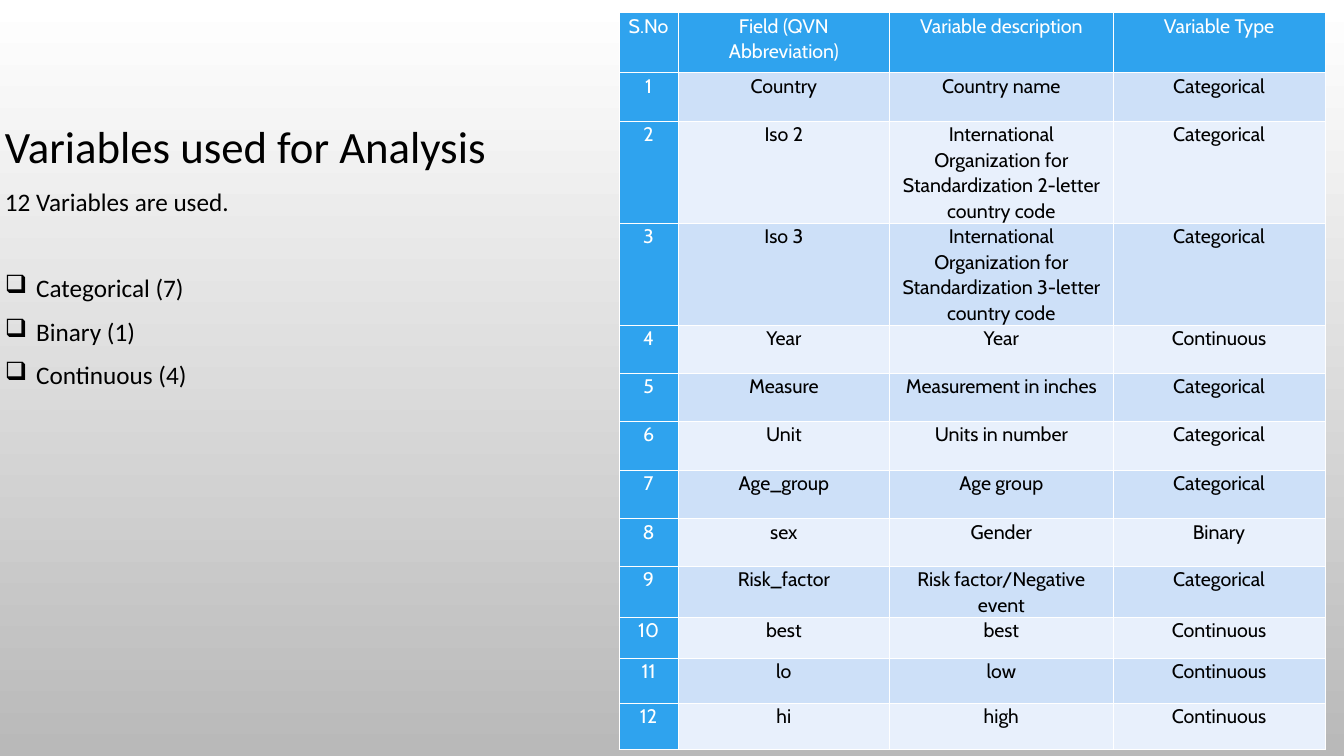
"""Build the slide listing the variables used for the analysis."""
from dataclasses import dataclass
from typing import NamedTuple

from lxml import etree
from pptx import Presentation
from pptx import util as u
from pptx.dml import color
from pptx.enum import text
from pptx.oxml import ns


@dataclass(frozen=True)
class Theme:
    black: str = "000000"
    white: str = "FFFFFF"
    grey: str = "B9B9B9"
    accent: str = "2FA3EE"
    bands: tuple[str, str] = ("CDE0F8", "E8F0FC")
    body_font: str = "Calibri"
    table_font: str = "Cabin"
    title_size: int = 64
    body_size: int = 36
    table_size: int = 28
    line_spacing: float = 1.07
    body_gap: int = 16
    table_gap: int = 8


class Variable(NamedTuple):
    field: str
    description: str
    kind: str
    height: float


class Line(NamedTuple):
    wording: str
    size: int
    bullet: str = ""
    space_before: int = 0


THEME = Theme()
CODE = "International Organization for Standardization {}-letter country code"
CATEGORICAL, BINARY, CONTINUOUS = "Categorical", "Binary", "Continuous"
HEADINGS = ("S.No", "Field (QVN Abbreviation)", "Variable description", "Variable Type")
HEADING_HEIGHT = 1.19
COLUMN_WIDTHS = (1.18, 4.19, 4.44, 4.2)
VARIABLES = (
    Variable("Country", "Country name", CATEGORICAL, 0.97),
    Variable("Iso 2", CODE.format(2), CATEGORICAL, 1.91),
    Variable("Iso 3", CODE.format(3), CATEGORICAL, 1.57),
    Variable("Year", "Year", CONTINUOUS, 0.96),
    Variable("Measure", "Measurement in inches", CATEGORICAL, 0.95),
    Variable("Unit", "Units in number", CATEGORICAL, 0.97),
    Variable("Age_group", "Age group", CATEGORICAL, 0.96),
    Variable("sex", "Gender", BINARY, 0.95),
    Variable("Risk_factor", "Risk factor/Negative event", CATEGORICAL, 0.96),
    Variable("best", "best", CONTINUOUS, 0.81),
    Variable("lo", "low", CONTINUOUS, 0.89),
    Variable("hi", "high", CONTINUOUS, 0.93),
)
SUMMARY = (
    Line("Variables used for Analysis", THEME.title_size),
    Line("12 Variables are used.", THEME.body_size),
    Line("Categorical (7)", THEME.body_size, "❑", 61),
    Line("Binary (1)", THEME.body_size, "❑"),
    Line("Continuous (4)", THEME.body_size, "❑"),
)


def rgb(value: str) -> color.RGBColor:
    """Turn a hex string into a colour."""
    return color.RGBColor.from_string(value)


def style_paragraph(paragraph, font_name: str, size: int, ink: str, gap: int) -> None:
    """Set the spacing and the font of a paragraph."""
    paragraph.line_spacing = THEME.line_spacing
    paragraph.space_after = u.Pt(gap)
    for run in paragraph.runs:
        run.font.name = font_name
        run.font.size = u.Pt(size)
        run.font.bold = False
        run.font.color.rgb = rgb(ink)


def add_bullet(paragraph, character: str) -> None:
    """Give a paragraph a hanging bullet."""
    properties = paragraph._p.get_or_add_pPr()
    indent = u.Inches(0.62)
    properties.set("marL", str(indent))
    properties.set("indent", str(-indent))
    etree.SubElement(properties, ns.qn("a:buChar"), char=character)


def add_borders(cell, bottom: int) -> None:
    """Draw white cell borders with the given bottom width in points."""
    properties = cell._tc.get_or_add_tcPr()
    widths = {"a:lnL": 1, "a:lnR": 1, "a:lnT": 1, "a:lnB": bottom}
    for position, (tag, width) in enumerate(widths.items()):
        border = etree.Element(ns.qn(tag), w=str(u.Pt(width)))
        fill = etree.SubElement(border, ns.qn("a:solidFill"))
        etree.SubElement(fill, ns.qn("a:srgbClr"), val=THEME.white)
        properties.insert(position, border)


def fill_cell(cell, wording: str, fill: str, ink: str, bottom: int) -> None:
    """Write and style one table cell."""
    cell.margin_left = cell.margin_right = u.Inches(0.14)
    cell.margin_top = cell.margin_bottom = 0
    cell.text_frame.text = wording
    paragraph = cell.text_frame.paragraphs[0]
    paragraph.alignment = text.PP_ALIGN.CENTER
    style_paragraph(paragraph, THEME.table_font, THEME.table_size, ink, THEME.table_gap)
    cell.fill.solid()
    cell.fill.fore_color.rgb = rgb(fill)
    add_borders(cell, bottom)


def add_variable_table(slide) -> None:
    """Add the table of variables with a heading row and a number column."""
    rows = [HEADINGS]
    rows += [(str(number), item.field, item.description, item.kind)
             for number, item in enumerate(VARIABLES, 1)]
    heights = [HEADING_HEIGHT] + [item.height for item in VARIABLES]
    table = slide.shapes.add_table(
        len(rows), len(HEADINGS), u.Inches(12.28), u.Inches(0.25),
        u.Inches(sum(COLUMN_WIDTHS)), u.Inches(sum(heights))).table
    for column, width in zip(table.columns, COLUMN_WIDTHS):
        column.width = u.Inches(width)
    for row_index, (wordings, height) in enumerate(zip(rows, heights)):
        table.rows[row_index].height = u.Inches(height)
        for column_index, wording in enumerate(wordings):
            is_heading = row_index == 0 or column_index == 0
            fill = THEME.accent if is_heading else THEME.bands[(row_index - 1) % 2]
            ink = THEME.white if is_heading else THEME.black
            bottom = 3 if row_index == 0 else 1
            fill_cell(table.cell(row_index, column_index), wording, fill, ink, bottom)


def add_summary(slide) -> None:
    """Add the title and the count of each variable type."""
    shape = slide.shapes.add_textbox(
        u.Inches(0), u.Inches(2.24), u.Inches(13.34), u.Inches(5.57))
    frame = shape.text_frame
    frame.word_wrap = True
    for index, line in enumerate(SUMMARY):
        paragraph = frame.add_paragraph() if index else frame.paragraphs[0]
        paragraph.text = line.wording
        if line.bullet:
            add_bullet(paragraph, line.bullet)
        if line.space_before:
            paragraph.space_before = u.Pt(line.space_before)
        style_paragraph(paragraph, THEME.body_font, line.size, THEME.black, THEME.body_gap)


def paint_background(slide) -> None:
    """Fill the background with a gradient from top to bottom."""
    fill = slide.background.fill
    fill.gradient()
    fill.gradient_angle = 270
    for stop, value in zip(fill.gradient_stops, (THEME.white, THEME.grey)):
        stop.color.rgb = rgb(value)


def main() -> None:
    """Build and save the presentation."""
    presentation = Presentation()
    presentation.slide_width = u.Inches(26.67)
    presentation.slide_height = u.Inches(15)
    slide = presentation.slides.add_slide(presentation.slide_layouts[6])
    paint_background(slide)
    add_variable_table(slide)
    add_summary(slide)
    presentation.save("out.pptx")


if __name__ == "__main__":
    main()
